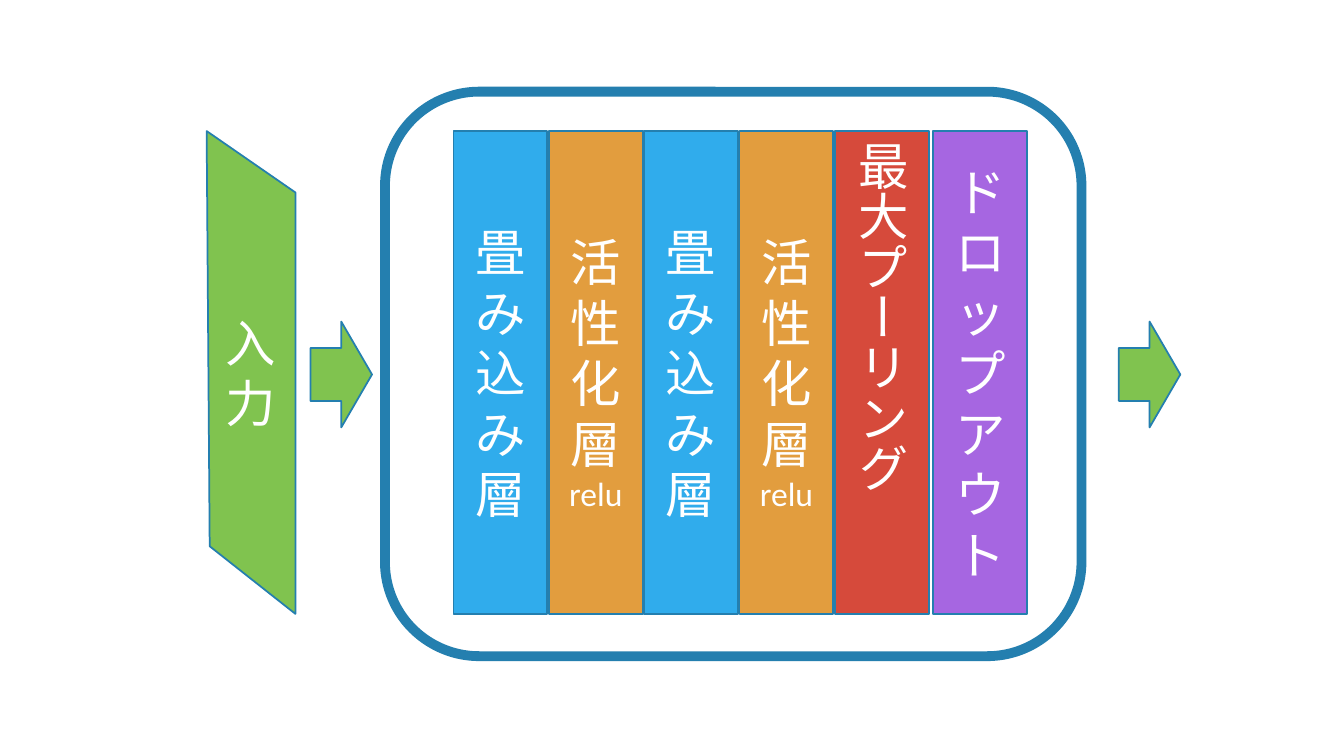
from pptx import Presentation
from pptx.dml.color import RGBColor
from pptx.enum.shapes import MSO_SHAPE as Preset
from pptx.enum.text import MSO_ANCHOR as Anchor, PP_ALIGN as Align
from pptx.util import Pt

THEME = {
    "font": "Calibri", "label": 36, "note": 24,
    "text": "FFFFFF", "outline": "247FAF", "flow": "80C34F",
    "convolution": "30ACEC", "activation": "E29D3E",
    "pooling": "D64A3B", "dropout": "A666E1",
    "thin": 1.25, "thick": 7,
}
CONVOLUTION = ("convolution", ["畳み込み層"], None)
ACTIVATION = ("activation", ["活性化層", "relu"], "wordArtVertRtl")
LAYERS = [
    CONVOLUTION, ACTIVATION, CONVOLUTION, ACTIVATION,
    ("pooling", ["最大プーリング"], "eaVert"),
    ("dropout", ["ドロップアウト"], None),
]
INPUT_LABEL = ["入力"]
INPUT_OUTLINE = [(147.6, 93.6), (211, 137.5), (211, 438.5), (149.8, 390.2)]
BLOCK_FRAME = (275, 65.5, 497.5, 403.2)
ARROW_LEFTS = [221.8, 799.2]
ARROW_TOP, ARROW_WIDTH, ARROW_HEIGHT = 229.7, 43.9, 75.6
LAYER_LEFT, LAYER_TOP, LAYER_WIDTH, LAYER_HEIGHT = 324, 93.6, 67, 345
LAYER_PITCH, DROPOUT_GAP = 68.1, 2.2


def paint(part, fill, weight=THEME["thin"]):
    part.shadow.inherit = False
    if fill:
        part.fill.solid()
        part.fill.fore_color.rgb = RGBColor.from_string(THEME[fill])
    else:
        part.fill.background()
    part.line.color.rgb = RGBColor.from_string(THEME["outline"])
    part.line.width = Pt(weight)


def write(part, pieces, direction):
    frame = part.text_frame
    frame.word_wrap = True
    frame.vertical_anchor = Anchor.MIDDLE
    if direction:
        frame._txBody.bodyPr.set("vert", direction)
    paragraph = frame.paragraphs[0]
    paragraph.alignment = Align.CENTER
    for piece, size in zip(pieces, (THEME["label"], THEME["note"])):
        run = paragraph.add_run()
        run.text = piece
        run.font.name = THEME["font"]
        run.font.size = Pt(size)
        run.font.color.rgb = RGBColor.from_string(THEME["text"])


def add_preset(shapes, preset, box, fill, weight=THEME["thin"]):
    part = shapes.add_shape(preset, *map(Pt, box))
    paint(part, fill, weight)
    return part


def main():
    deck = Presentation()
    deck.slide_width, deck.slide_height = Pt(960), Pt(540)
    shapes = deck.slides.add_slide(deck.slide_layouts[6]).shapes

    add_preset(shapes, Preset.ROUNDED_RECTANGLE, BLOCK_FRAME, None, THEME["thick"])

    for position, (kind, label, direction) in enumerate(LAYERS):
        left = LAYER_LEFT + position * LAYER_PITCH
        if kind == "dropout":
            left += DROPOUT_GAP
        box = (left, LAYER_TOP, LAYER_WIDTH, LAYER_HEIGHT)
        write(add_preset(shapes, Preset.RECTANGLE, box, kind), label, direction)

    corners = [(Pt(x), Pt(y)) for x, y in INPUT_OUTLINE]
    outline = shapes.build_freeform(*corners[0])
    outline.add_line_segments(corners[1:], close=True)
    input_panel = outline.convert_to_shape()
    paint(input_panel, "flow")
    write(input_panel, INPUT_LABEL, "wordArtVertRtl")

    for left in ARROW_LEFTS:
        box = (left, ARROW_TOP, ARROW_WIDTH, ARROW_HEIGHT)
        add_preset(shapes, Preset.RIGHT_ARROW, box, "flow")

    deck.save("out.pptx")


if __name__ == "__main__":
    main()
